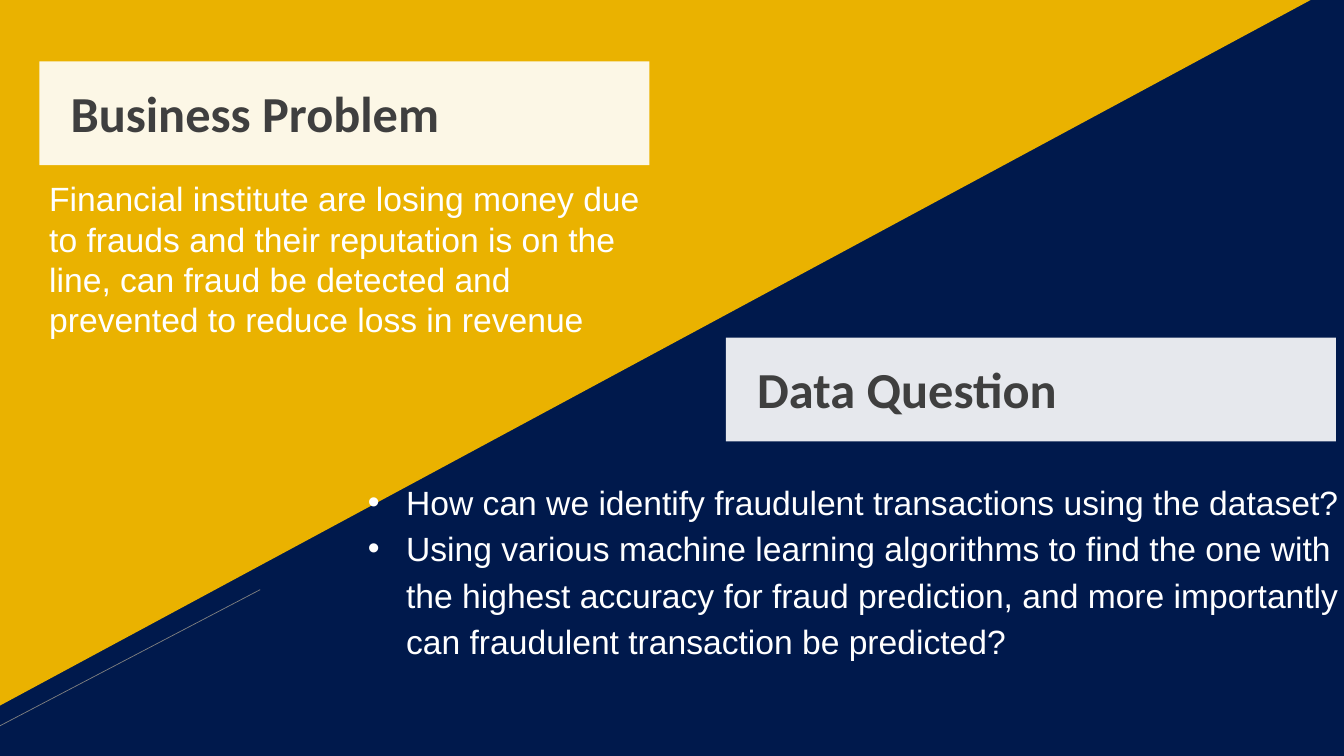
import pptx
import pptx.dml.color
import pptx.enum.shapes
import pptx.enum.text
import pptx.oxml
import pptx.oxml.ns
import pptx.util
from pptx.util import Inches

WIDTH, HEIGHT = 13.33, 7.5
THEME = {
    "navy": "00194C", "gold": "EAB200", "white": "FFFFFF",
    "ink": "3F3F3F", "rule": "808080", "panel_opacity": 90,
    "heading_font": "Calibri", "body_font": "Arial",
    "heading_size": 36, "body_size": 24,
}
PANEL_SIZE = (6.05, 1.03)
SECTIONS = [
    {"heading": "Business Problem", "panel": (0.39, 0.61),
     "body": ["Financial institute are losing money due to frauds and their "
              "reputation is on the line, can fraud be detected and prevented "
              "to reduce loss in revenue"],
     "body_box": (0.39, 1.72, 6.13, 1.99), "bullets": False},
    {"heading": "Data Question", "panel": (7.2, 3.35),
     "body": ["How can we identify fraudulent transactions using the dataset?",
              "Using various machine learning algorithms to find the one with "
              "the highest accuracy for fraud prediction, and more importantly "
              "can fraudulent transaction be predicted?"],
     "body_box": (3.55, 4.67, WIDTH - 3.55, 2.23), "bullets": True},
]


def color(name):
    """Return a theme colour."""
    return pptx.dml.color.RGBColor.from_string(THEME[name])


def add_xml(parent, tag, **attributes):
    """Append a DrawingML element and return it."""
    element = pptx.oxml.ns.qn(tag)
    child = parent.makeelement(element, attributes)
    parent.append(child)
    return child


def paint(shape, name, opacity=100):
    """Give a shape a flat fill without line or shadow."""
    shape.shadow.inherit = False
    shape.line.fill.background()
    shape.fill.solid()
    shape.fill.fore_color.rgb = color(name)
    if opacity < 100:
        fill = shape.fill._xPr.find(pptx.oxml.ns.qn("a:solidFill"))
        add_xml(fill[0], "a:alpha", val=str(opacity * 1000))
    return shape


def add_rectangle(slide, box, name, opacity=100):
    """Add a painted rectangle."""
    kind = pptx.enum.shapes.MSO_SHAPE.RECTANGLE
    return paint(slide.shapes.add_shape(kind, *map(Inches, box)), name, opacity)


def write(shape, paragraphs, font, size, ink, bold=False, spacing=None,
          insets=(0.1, 0.05, 0.1, 0.05), anchor="TOP", bullets=False):
    """Fill a shape with formatted paragraphs."""
    frame = shape.text_frame
    frame.word_wrap = True
    frame.vertical_anchor = getattr(pptx.enum.text.MSO_ANCHOR, anchor)
    (frame.margin_left, frame.margin_top,
     frame.margin_right, frame.margin_bottom) = map(Inches, insets)
    frame.text = "\n".join(paragraphs)
    for paragraph in frame.paragraphs:
        paragraph.alignment = pptx.enum.text.PP_ALIGN.LEFT
        paragraph.line_spacing = spacing
        for run in paragraph.runs:
            run.font.name = THEME[font]
            run.font.size = pptx.util.Pt(THEME[size])
            run.font.bold = bold
            run.font.color.rgb = color(ink)
        if bullets:
            properties = paragraph._p.get_or_add_pPr()
            indent = Inches(0.38)
            properties.set("marL", str(indent))
            properties.set("indent", str(-indent))
            add_xml(properties, "a:buFont", typeface=THEME[font])
            add_xml(properties, "a:buChar", char="•")


def add_background(slide):
    """Draw the navy field, the gold corner and the thin diagonal rule."""
    add_rectangle(slide, (0, 0, WIDTH, HEIGHT), "navy")
    corner = slide.shapes.build_freeform(0, 0, scale=Inches(1))
    corner.add_line_segments([(12.85, 0), (0, 6.89)])
    paint(corner.convert_to_shape(), "gold")
    rule = slide.shapes.add_connector(
        pptx.enum.shapes.MSO_CONNECTOR.STRAIGHT,
        *map(Inches, (0, 7.2, 2.58, 5.85)))
    rule.line.color.rgb = color("rule")
    rule.line.width = pptx.util.Pt(0.5)
    add_xml(rule._element.spPr, "a:effectLst")


def add_section(slide, section):
    """Add a heading panel and the text that belongs to it."""
    panel = add_rectangle(slide, section["panel"] + PANEL_SIZE, "white",
                          THEME["panel_opacity"])
    write(panel, [section["heading"]], "heading_font", "heading_size", "ink",
          bold=True, spacing=0.9, insets=(0.31, 0.05, 0.1, 0), anchor="MIDDLE")
    body = slide.shapes.add_textbox(*map(Inches, section["body_box"]))
    bullets = section["bullets"]
    write(body, section["body"], "body_font", "body_size", "white",
          spacing=1.15 if bullets else None, bullets=bullets,
          insets=(0.1, 0.05, 0 if bullets else 0.1, 0.05))


deck = pptx.Presentation()
deck.slide_width, deck.slide_height = Inches(WIDTH), Inches(HEIGHT)
slide = deck.slides.add_slide(deck.slide_layouts[6])
add_background(slide)
for section in SECTIONS:
    add_section(slide, section)
deck.save("out.pptx")
